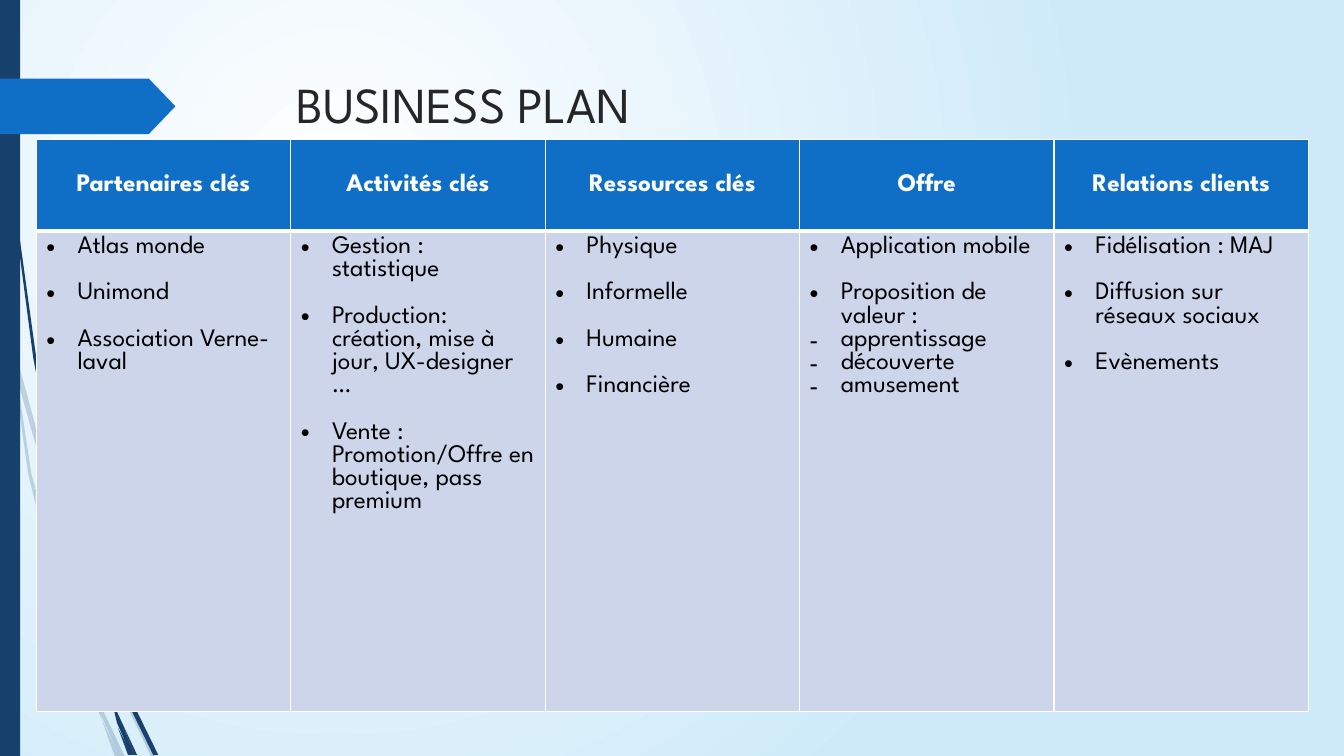
"""Builds the business plan slide: five canvas columns over a wisp-decorated background."""
from lxml import etree
from pptx import Presentation
from pptx import util as u
from pptx.dml.color import RGBColor
from pptx.enum import shapes, text
from pptx.oxml import ns

HEADING = "BUSINESS PLAN"
DOT, DASH = "•", "-"
PLAN = {
    "Partenaires clés": [(DOT, "Atlas monde"), (DOT, "Unimond"), (DOT, "Association Verne-laval")],
    "Activités clés": [
        (DOT, "Gestion : statistique"),
        (DOT, "Production: création, mise à jour, UX-designer …"),
        (DOT, "Vente\u00a0: Promotion/Offre en boutique, pass premium"),
    ],
    "Ressources clés": [(DOT, "Physique"), (DOT, "Informelle"), (DOT, "Humaine"), (DOT, "Financière")],
    "Offre": [
        (DOT, "Application mobile"),
        (DOT, "Proposition de valeur\u00a0:"),
        (DASH, "apprentissage"),
        (DASH, "découverte"),
        (DASH, "amusement"),
    ],
    "Relations clients": [
        (DOT, "Fidélisation : MAJ"),
        (DOT, "Diffusion sur réseaux sociaux"),
        (DOT, "Evènements"),
    ],
}
THEME = {
    "font": "League Spartan", "title_size": 36, "table_size": 18, "item_gap": 16.6,
    "navy": "17406D", "blue": "0F6FC6", "panel": "CCD5EA", "sky": "CEEAF9",
    "white": "FFFFFF", "title": "262626", "ink": "000000",
}
PALE, SOLID = 20, 100
WISPS = [
    (PALE, [(58, 522), (84, 599), (85, 586), (62, 520), (14, 345), (17, 376)]),
    (PALE, [(92, 607), (88, 596), (88, 610), (123, 694), (150, 751), (155, 751), (127, 692)]),
    (PALE, [(119, 751), (124, 751), (105, 711)]),
    (PALE, [(93, 683), (70, 619), (31, 469), (17, 376), (11, 350), (28, 470), (65, 621),
            (92, 693), (101, 714), (99, 707)]),
    (PALE, [(101, 714), (114, 751), (119, 751)]),
    (PALE, [(96, 692), (93, 683), (99, 707), (119, 751), (105, 711)]),
    (SOLID, [(7, 110), (17, 233), (33, 355), (56, 477), (57, 481), (55, 453), (36, 355),
             (19, 232), (8, 109), (5, 48), (4, 0), (3, 0), (4, 48)]),
    (SOLID, [(113, 649), (110, 641), (111, 656), (132, 708), (152, 749), (157, 749), (136, 706)]),
    (SOLID, [(133, 749), (136, 749), (122, 719)]),
    (SOLID, [(117, 722), (127, 749), (131, 749)]),
    (SOLID, [(116, 706), (110, 691), (116, 717), (130, 749), (133, 749), (122, 719)]),
]
WIDTH, HEIGHT = 13.33, 7.5
TABLE_LEFT, TABLE_TOP, TABLE_WIDTH = 0.36, 1.38, 12.62
ROW_HEIGHTS = (0.91, 4.77)
INDENT = 0.31


def colour(name):
    """Returns a theme colour."""
    return RGBColor.from_string(THEME[name])


def add_xml(parent, tag, **attributes):
    """Appends a DrawingML element."""
    return etree.SubElement(parent, ns.qn(tag), attributes)


def paint(shape, name, opacity=SOLID):
    """Gives a shape a flat fill without outline or shadow."""
    shape.fill.solid()
    shape.fill.fore_color.rgb = colour(name)
    shape.line.fill.background()
    shape.shadow.inherit = False
    if opacity < SOLID:
        tint = shape.fill._xPr.find(".//" + ns.qn("a:srgbClr"))
        add_xml(tint, "a:alpha", val=str(opacity * 1000))


def style(paragraph, size, name, bold=False):
    """Formats the runs of a paragraph."""
    for run in paragraph.runs:
        run.font.name = THEME["font"]
        run.font.size = u.Pt(size)
        run.font.bold = bold
        run.font.color.rgb = colour(name)


def dress_cell(cell, fill, top, bottom):
    """Fills a cell and draws its white borders."""
    cell.fill.solid()
    cell.fill.fore_color.rgb = colour(fill)
    properties = cell._tc.get_or_add_tcPr()
    for place, (side, points) in enumerate({"L": 1, "R": 1, "T": top, "B": bottom}.items()):
        border = add_xml(properties, "a:ln" + side, w=str(u.Pt(points)))
        add_xml(add_xml(border, "a:solidFill"), "a:srgbClr", val=THEME["white"])
        properties.insert(place, border)


def add_item(paragraph, mark, wording, first):
    """Writes a list item with a hanging mark."""
    paragraph.text = wording
    style(paragraph, THEME["table_size"], "ink")
    if mark == DOT and not first:
        paragraph.space_before = u.Pt(THEME["item_gap"])
    properties = paragraph._p.get_or_add_pPr()
    properties.set("marL", str(u.Inches(INDENT)))
    properties.set("indent", str(-u.Inches(INDENT)))
    add_xml(properties, "a:buFont", typeface="Arial")
    add_xml(properties, "a:buChar", char=mark)


deck = Presentation()
deck.slide_width, deck.slide_height = u.Inches(WIDTH), u.Inches(HEIGHT)
slide = deck.slides.add_slide(deck.slide_layouts[5])

backdrop = slide.background.fill
backdrop.gradient()
for stop, shade in zip(backdrop.gradient_stops, ("white", "sky")):
    stop.color.rgb = colour(shade)
linear = slide.element.find(".//" + ns.qn("a:lin"))
gradient = linear.getparent()
gradient.remove(linear)
glow = add_xml(gradient, "a:path", path="circle")
add_xml(glow, "a:fillToRect", l="50000", t="50000", r="100000", b="100000")

for opacity, outline in WISPS:
    pen = slide.shapes.build_freeform(*outline[0], scale=u.Inches(0.01))
    pen.add_line_segments(outline[1:], close=True)
    paint(pen.convert_to_shape(), "navy", opacity)

edge = slide.shapes.add_shape(shapes.MSO_SHAPE.RECTANGLE, 0, 0, u.Inches(0.2), deck.slide_height)
paint(edge, "navy")
pointer = slide.shapes.add_shape(
    shapes.MSO_SHAPE.PENTAGON, 0, u.Inches(0.78), u.Inches(1.74), u.Inches(0.55))
pointer.adjustments[0] = 0.48
paint(pointer, "blue")

heading = slide.shapes.title
heading.left, heading.top = u.Inches(2.84), u.Inches(0.68)
heading.width, heading.height = u.Inches(9.75), u.Inches(1.4)
heading.text_frame.text = HEADING
heading.text_frame.vertical_anchor = text.MSO_ANCHOR.TOP
heading.text_frame.paragraphs[0].alignment = text.PP_ALIGN.LEFT
style(heading.text_frame.paragraphs[0], THEME["title_size"], "title")

canvas = slide.shapes.add_table(
    len(ROW_HEIGHTS), len(PLAN), u.Inches(TABLE_LEFT), u.Inches(TABLE_TOP),
    u.Inches(TABLE_WIDTH), u.Inches(sum(ROW_HEIGHTS))).table
for row, row_height in zip(canvas.rows, ROW_HEIGHTS):
    row.height = u.Inches(row_height)
for column, (topic, items) in enumerate(PLAN.items()):
    header, body = canvas.cell(0, column), canvas.cell(1, column)
    dress_cell(header, "blue", 1, 3)
    dress_cell(body, "panel", 3, 1)
    header.text_frame.text = topic
    header.vertical_anchor = text.MSO_ANCHOR.MIDDLE
    header.text_frame.paragraphs[0].alignment = text.PP_ALIGN.CENTER
    style(header.text_frame.paragraphs[0], THEME["table_size"], "white", bold=True)
    for order, (mark, wording) in enumerate(items):
        lines = body.text_frame
        paragraph = lines.add_paragraph() if order else lines.paragraphs[0]
        add_item(paragraph, mark, wording, first=not order)

deck.save("out.pptx")
